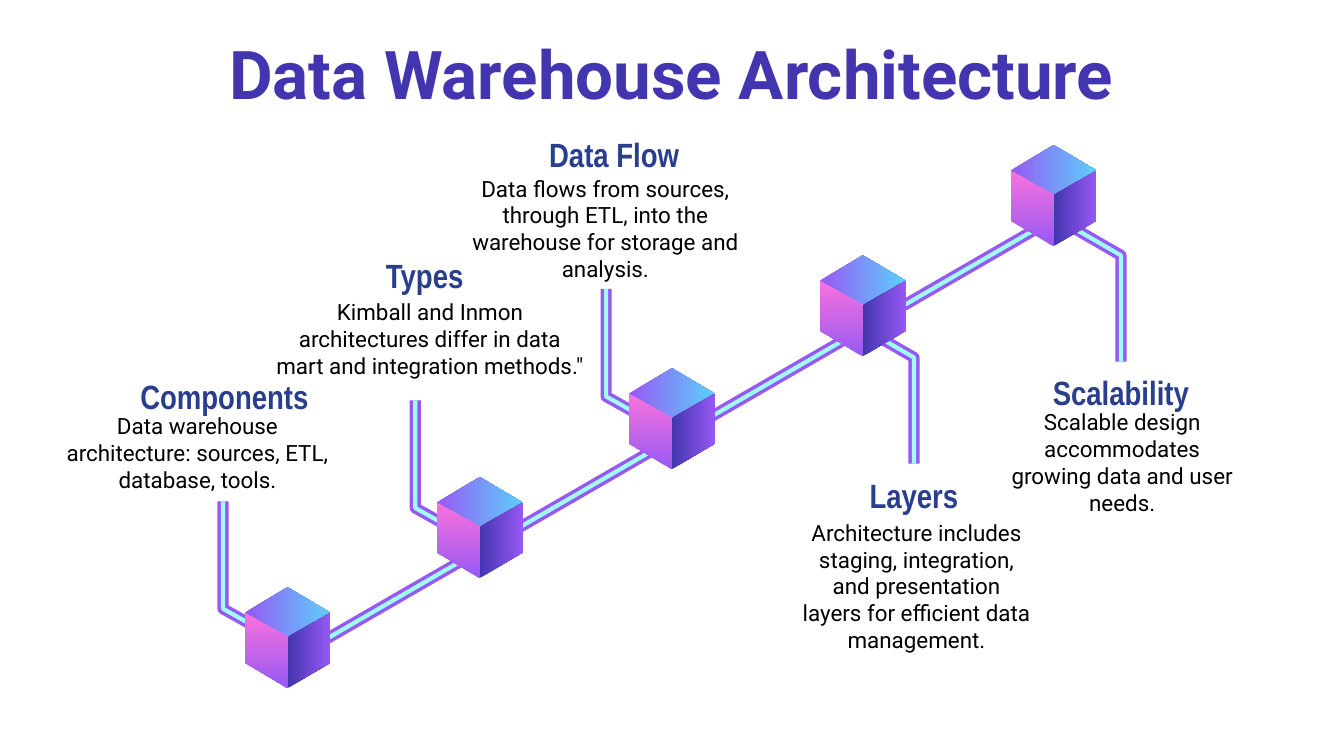
"""Build the Data Warehouse Architecture slide: five cubes on a rising line."""
from lxml import etree
from pptx import Presentation
from pptx import util as u
from pptx.dml import color
from pptx.enum import shapes, text
from pptx.oxml import ns

HUES = {"edge": "9659F4", "core": "A0FDF1", "sky": "5CCFFB", "pink": "FA72DC",
        "deep": "4335AF", "head": "293E8D", "body": "000000"}
RAILS = (("edge", 6), ("core", 2.25))
FACES = (
    ([(0, 0.37), (-0.32, 0.19), (0, 0), (0.32, 0.19)], "edge", "sky", 0),
    ([(-0.32, 0.19), (-0.32, 0.56), (0, 0.75), (0, 0.37)], "pink", "edge", 270),
    ([(0.32, 0.19), (0, 0.37), (0, 0.75), (0.32, 0.56)], "deep", "edge", 0),
)
UP = [(0.52, 1.09), (0, 0.8), (0, 0)]
DOWN = [(0, 0), (0.52, 0.3), (0.52, 1.09)]
STEPS = (
    ("Components", (0.71, 2.81), "Data warehouse architecture: sources, ETL, database, tools.",
     (0.32, 3.1, 2.3, 0.54), (2.14, 4.37), (1.66, 3.73), UP),
    ("Types", (2.2, 1.91), "Kimball and Inmon architectures differ in data mart and integration methods.\"",
     (1.93, 2.24, 2.54, 0.56), (3.57, 3.55), (3.09, 2.98), UP),
    ("Data Flow", (3.61, 1.01),
     "Data flows from sources, through ETL, into the warehouse for storage and analysis.",
     (3.39, 1.42, 2.23, 0.56), (5, 2.74), (4.51, 2.15), UP),
    ("Layers", (5.84, 3.54),
     "Architecture includes staging, integration, and presentation layers for efficient data management.",
     (5.86, 3.52, 1.92, 1.68), (6.42, 1.9), (6.28, 2.36), DOWN),
    ("Scalability", (7.38, 2.78), "Scalable design accommodates growing data and user needs.",
     (7.39, 3.16, 1.92, 0.56), (7.84, 1.08), (7.82, 1.6), DOWN),
)


def draw(base, points, close):
    spots = [(u.Inches(base[0] + x), u.Inches(base[1] + y)) for x, y in points]
    pen = slide.shapes.build_freeform(*spots[0])
    pen.add_line_segments(spots[1:], close=close)
    shape = pen.convert_to_shape()
    shape.shadow.inherit = False
    return shape


def write(shape, box, words, font, size, hue, bold):
    shape.left, shape.top, shape.width, shape.height = map(u.Inches, box)
    frame = shape.text_frame
    frame.text = words
    frame.word_wrap = True
    frame.auto_size = text.MSO_AUTO_SIZE.NONE
    frame.vertical_anchor = text.MSO_ANCHOR.MIDDLE
    frame.margin_left = frame.margin_right = u.Inches(0.1)
    frame.margin_top = frame.margin_bottom = u.Inches(0.1)
    line = frame.paragraphs[0]
    line.alignment = text.PP_ALIGN.CENTER
    line.font.name, line.font.size, line.font.bold = font, u.Pt(size), bold
    line.font.color.rgb = color.RGBColor.from_string(HUES[hue])


deck = Presentation()
deck.slide_width = u.Inches(10)
deck.slide_height = u.Inches(10 * 9 / 16)
slide = deck.slides.add_slide(deck.slide_layouts[5])
write(slide.shapes.title, (0.56, 0.26, 8.87, 0.56), "Data Warehouse Architecture",
      "Roboto", 36, "deep", True)

for *_, base, bend in STEPS:
    for hue, width in RAILS:
        leg = draw(base, bend, False)
        leg.fill.background()
        leg.line.color.rgb = color.RGBColor.from_string(HUES[hue])
        leg.line.width = u.Pt(width)

for hue, width in RAILS:
    rail = slide.shapes.add_connector(shapes.MSO_CONNECTOR.STRAIGHT, u.Inches(7.82),
                                      u.Inches(1.64), u.Inches(2.09), u.Inches(4.95))
    rail.line.color.rgb = color.RGBColor.from_string(HUES[hue])
    rail.line.width = u.Pt(width)
    etree.SubElement(rail.element.spPr, ns.qn("a:effectLst"))

for *_, cube, base, bend in STEPS:
    for points, start, end, angle in FACES:
        face = draw(cube, points, True)
        face.line.fill.background()
        face.fill.gradient()
        face.fill.gradient_angle = angle
        for stop, hue in zip(face.fill.gradient_stops, (start, end)):
            stop.color.rgb = color.RGBColor.from_string(HUES[hue])

for head, spot, body, box, *_ in STEPS:
    write(slide.shapes.add_textbox(0, 0, 0, 0), (*spot, 1.92, 0.28), head,
          "Arial Narrow", 18, "head", True)
    write(slide.shapes.add_textbox(0, 0, 0, 0), box, body, "Roboto", 12, "body", False)

deck.save("out.pptx")
